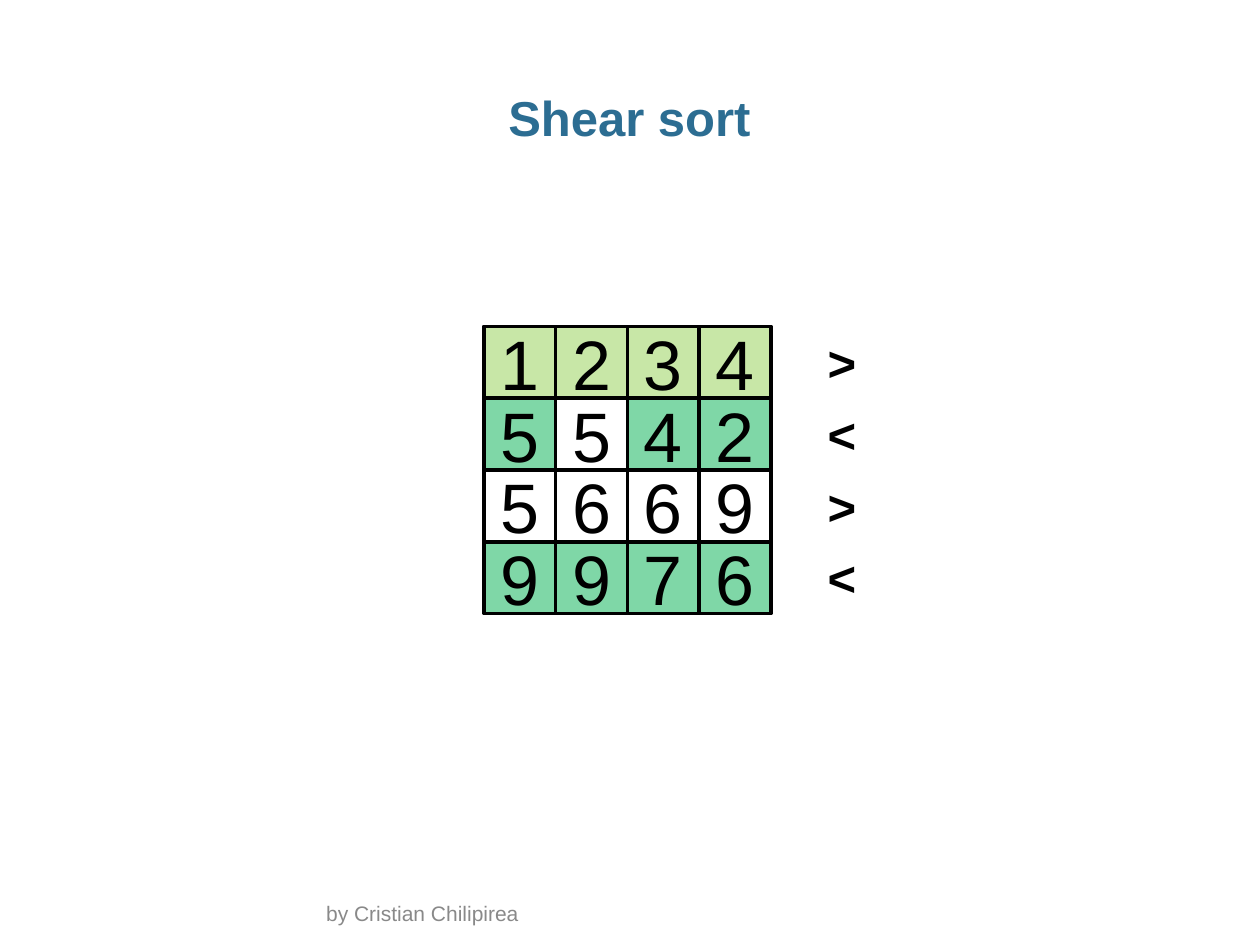
from lxml import etree
from pptx import Presentation
from pptx import util as u
from pptx.dml.color import RGBColor
from pptx.enum import shapes, text
from pptx.oxml.ns import qn

BLACK = RGBColor(0x00, 0x00, 0x00)
GRAY = RGBColor(0x89, 0x89, 0x89)
BLUE = RGBColor(0x2C, 0x6D, 0x92)
LIME = RGBColor(0x92, 0xD0, 0x50)
GREEN = RGBColor(0x00, 0xB0, 0x50)

CELL = 0.57
GRID_LEFT, GRID_TOP = 3.84, 2.59
ARROW_LEFT, ARROW_WIDTH = 6.47, 0.43

ROWS = [
    ("1234", (LIME, LIME, LIME, LIME), ">"),
    ("5542", (GREEN, None, GREEN, GREEN), "<"),
    ("5669", (None, None, None, None), ">"),
    ("9976", (GREEN, GREEN, GREEN, GREEN), "<"),
]


class SlideBuilder:
    font_name = "Arial"

    def __init__(self, slide):
        self.slide = slide

    def add_text(self, shape, content, size, color, bold=False, align=None):
        paragraph = shape.text_frame.paragraphs[0]
        paragraph.alignment = align
        run = paragraph.add_run()
        run.text = content
        run.font.name = self.font_name
        run.font.size = u.Pt(size)
        run.font.bold = bold
        run.font.color.rgb = color
        return paragraph

    def textbox(self, left, top, width, height, wrap=True):
        shape = self.slide.shapes.add_textbox(
            u.Inches(left), u.Inches(top), u.Inches(width), u.Inches(height))
        shape.text_frame.word_wrap = wrap
        return shape

    def title(self, content):
        shape = self.textbox(0.34, 0.68, 9.31, 0.5)
        shape.text_frame.margin_left = shape.text_frame.margin_right = 0
        paragraph = self.add_text(shape, content, 28, BLUE, True, text.PP_ALIGN.CENTER)
        paragraph.line_spacing = 0.95

    def footer(self, content):
        shape = self.textbox(2.49, 7.16, 5.02, 0.24)
        shape.text_frame.vertical_anchor = text.MSO_ANCHOR.BOTTOM
        self.add_text(shape, content, 12, GRAY)

    def direction(self, top, content):
        shape = self.textbox(ARROW_LEFT, top, ARROW_WIDTH, CELL, wrap=False)
        shape.text_frame.auto_size = text.MSO_AUTO_SIZE.SHAPE_TO_FIT_TEXT
        self.add_text(shape, content, 28, BLACK, bold=True)

    def cell(self, left, top, digit, color):
        shape = self.slide.shapes.add_shape(
            shapes.MSO_SHAPE.RECTANGLE,
            u.Inches(left), u.Inches(top), u.Inches(CELL), u.Inches(CELL))
        shape.shadow.inherit = False
        shape.line.color.rgb = BLACK
        shape.line.width = u.Pt(2)
        if color is None:
            shape.fill.background()
        else:
            shape.fill.solid()
            shape.fill.fore_color.rgb = color
            fill_color = shape.element.spPr.find(qn("a:solidFill"))[0]
            etree.SubElement(fill_color, qn("a:alpha"), val="50000")
        shape.text_frame.vertical_anchor = text.MSO_ANCHOR.MIDDLE
        self.add_text(shape, digit, 40, BLACK, align=text.PP_ALIGN.CENTER)


def main():
    presentation = Presentation()
    presentation.slide_width = u.Inches(10)
    presentation.slide_height = u.Inches(7.5)
    slide = presentation.slides.add_slide(presentation.slide_layouts[6])
    builder = SlideBuilder(slide)

    builder.footer("by Cristian Chilipirea")
    builder.title("Shear sort")
    for row, (digits, colors, direction) in enumerate(ROWS):
        top = GRID_TOP + row * CELL
        for column, (digit, color) in enumerate(zip(digits, colors)):
            builder.cell(GRID_LEFT + column * CELL, top, digit, color)
        builder.direction(top, direction)

    presentation.save("out.pptx")


if __name__ == "__main__":
    main()
